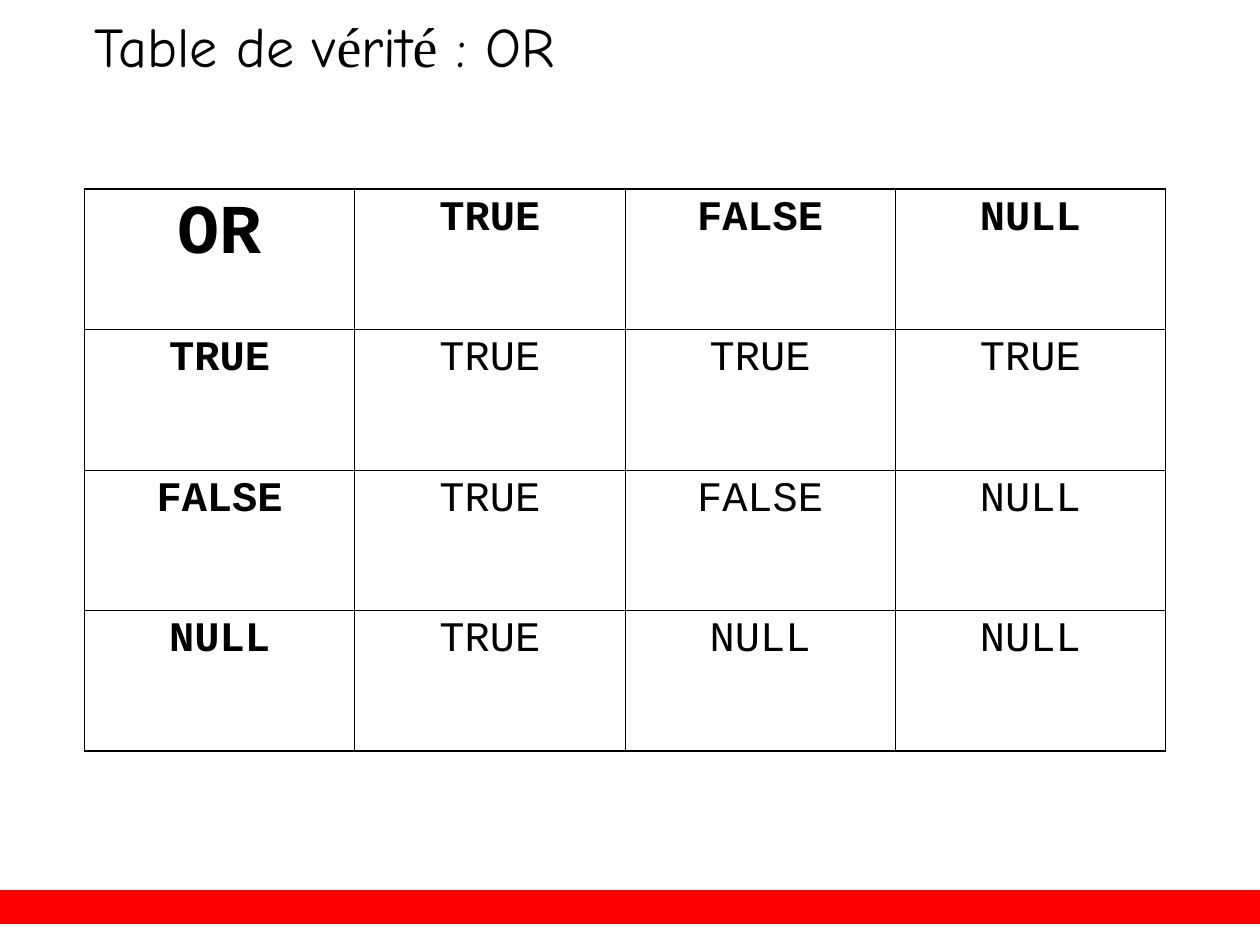
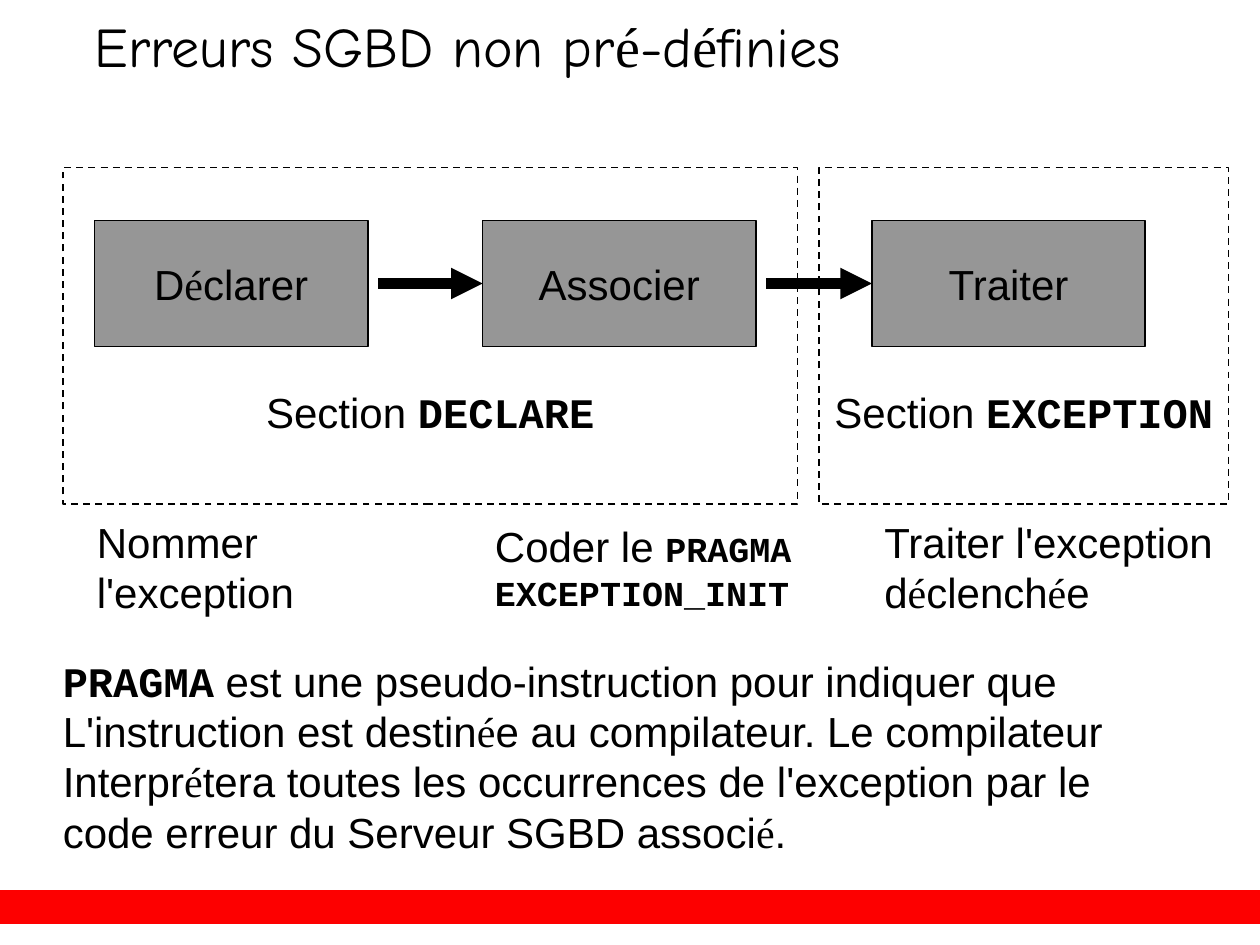
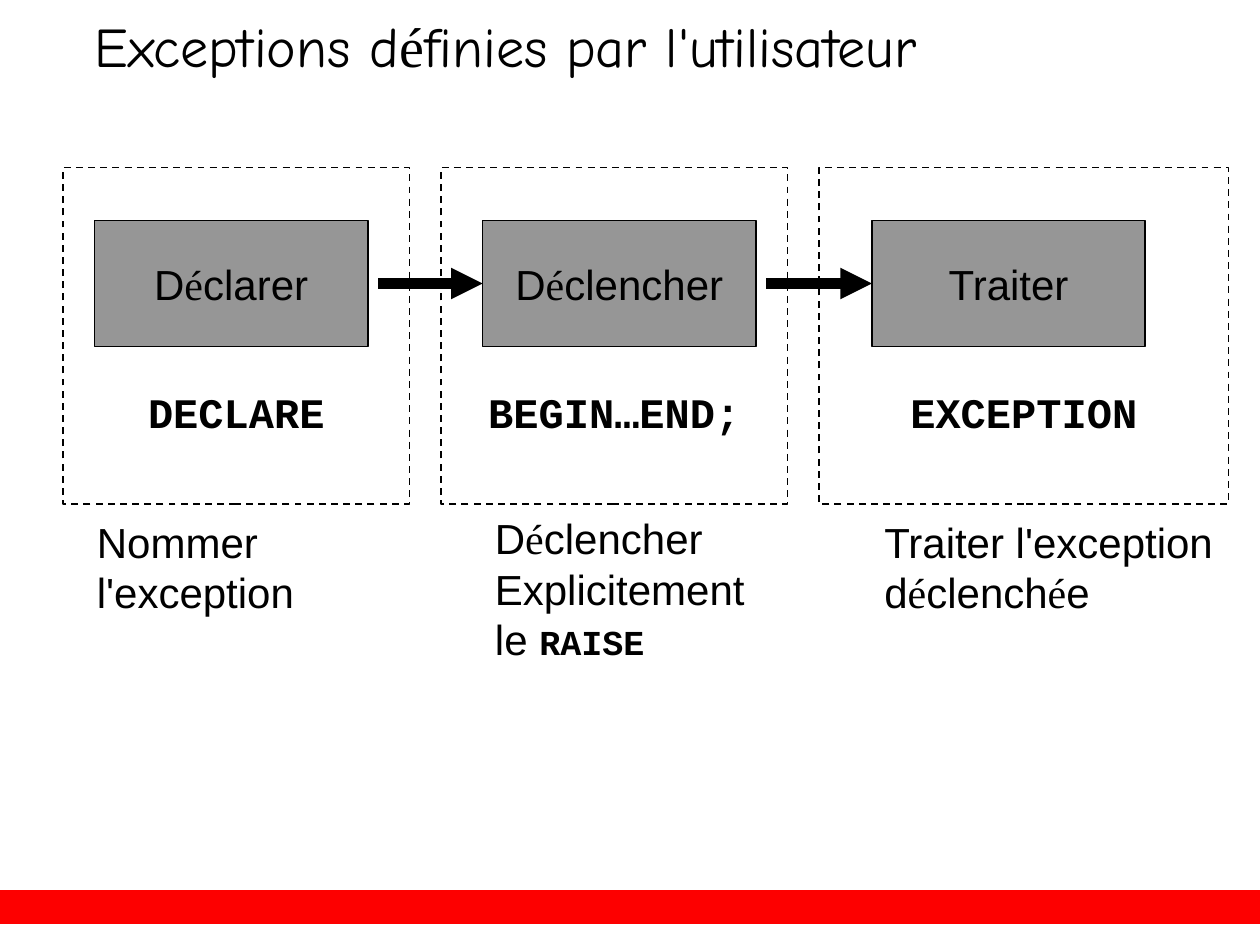
"""Builds three slides on SQL truth tables and exception handling."""
from itertools import groupby

from lxml.etree import SubElement
from pptx import Presentation
from pptx.dml.color import RGBColor
from pptx.enum.dml import MSO_LINE
from pptx.enum.shapes import MSO_CONNECTOR as CONN, MSO_SHAPE as SHAPE
from pptx.enum.text import MSO_ANCHOR as ANCHOR, MSO_AUTO_SIZE as AUTO, PP_ALIGN as ALIGN
from pptx.oxml.ns import qn
from pptx.util import Inches, Pt

COLORS = {"black": "000000", "red": "FD0000", "gray": "969696"}
BODY, CODE, ACCENT, TITLE = "Arial", "Courier New", "Times New Roman", "Comic Neue"
STEP_LEFTS = [0.75, 3.83, 6.92]
STEP_TOP, STEP_W, STEP_H = 1.75, 2.17, 1
FRAME_TOP, FRAME_H = 1.33, 2.67
LABEL_INSET = 1.25
MIDDLE_NOTE_W = 2.7
NAME_NOTE = ["Nommer", "l'exception"]
HANDLE_NOTE = ["Traiter l'exception", "déclenchée"]


def rgb(name):
    return RGBColor.from_string(COLORS[name])


def apply(obj, values):
    for name, value in values.items():
        setattr(obj, name, value)


def add_run(p, text, font, size, bold=False):
    r = p.add_run()
    r.text = text
    apply(r.font, {"name": font, "size": Pt(size), "bold": bold})
    r.font.color.rgb = rgb("black")


def add_words(p, text, font=BODY, size=24, code_size=24):
    """Text between backticks is code; each é is set in the accent font."""
    for i, part in enumerate(text.split("`")):
        if i % 2:
            add_run(p, part, CODE, code_size, True)
            continue
        for accented, chars in groupby(part, lambda c: c == "é"):
            add_run(p, "".join(chars), ACCENT if accented else font, size)


def fill_text(tf, lines, align=ALIGN.LEFT, anchor=ANCHOR.MIDDLE, code_size=24):
    apply(tf, {"word_wrap": False, "vertical_anchor": anchor})
    for i, line in enumerate(lines):
        p = tf.add_paragraph() if i else tf.paragraphs[0]
        p.alignment = align
        add_words(p, line, code_size=code_size)


def add_rect(slide, left, top, width, height, fill=None, line="black"):
    sp = slide.shapes.add_shape(SHAPE.RECTANGLE, *map(Inches, (left, top, width, height)))
    sp.shadow.inherit = False
    if fill:
        sp.fill.solid()
        sp.fill.fore_color.rgb = rgb(fill)
    else:
        sp.fill.background()
    sp.line.color.rgb = rgb(line)
    sp.line.width = Pt(1)
    return sp


def add_band(layout, slide):
    band = add_rect(slide, 0, 7.07, 10, 0.26, "red", "red")
    layout.shapes.element.append(band.element)


def add_slide(prs, title):
    slide = prs.slides.add_slide(prs.slide_layouts[5])
    sp = slide.shapes.title
    apply(sp, {"left": Inches(0.75), "top": Inches(0.17),
               "width": Inches(8.17), "height": Inches(0.58)})
    tf = sp.text_frame
    apply(tf, {"margin_left": 0, "margin_top": 0, "margin_right": 0, "margin_bottom": 0,
               "vertical_anchor": ANCHOR.TOP, "auto_size": AUTO.NONE, "word_wrap": True})
    p = tf.paragraphs[0]
    apply(p, {"alignment": ALIGN.LEFT, "line_spacing": 0.85})
    add_words(p, title, TITLE, 32)
    return slide


def add_section(slide, left, width, label):
    sp = add_rect(slide, left, FRAME_TOP, width, FRAME_H)
    sp.line.dash_style = MSO_LINE.DASH
    fill_text(sp.text_frame, [label], ALIGN.CENTER)
    sp.text_frame.margin_top = Inches(LABEL_INSET)


def add_steps(slide, names):
    for i, (left, name) in enumerate(zip(STEP_LEFTS, names)):
        sp = add_rect(slide, left, STEP_TOP, STEP_W, STEP_H, "gray")
        fill_text(sp.text_frame, [name], ALIGN.CENTER)
        if i:
            add_arrow(slide, STEP_LEFTS[i - 1] + STEP_W + 0.08, sp)


def add_arrow(slide, start, target):
    y = Inches(STEP_TOP + STEP_H / 2)
    cx = slide.shapes.add_connector(CONN.STRAIGHT, Inches(start), y, target.left, y)
    cx.end_connect(target, 1)
    cx.line.color.rgb = rgb("black")
    cx.line.width = Pt(6)
    SubElement(cx.line._get_or_add_ln(), qn("a:tailEnd"), type="triangle")
    SubElement(cx.element.spPr, qn("a:effectLst"))


def add_note(slide, left, top, width, height, lines, **style):
    box = slide.shapes.add_textbox(*map(Inches, (left, top, width, height)))
    fill_text(box.text_frame, lines, **style)


def add_border(cell, side, width):
    ln = SubElement(cell._tc.get_or_add_tcPr(), qn(f"a:ln{side}"), w=str(Pt(width)))
    fill = SubElement(ln, qn("a:solidFill"))
    SubElement(fill, qn("a:srgbClr"), val=COLORS["black"])


def add_truth_table(slide, rows):
    n = len(rows)
    size = Inches(0.67), Inches(1.5), Inches(8.58), Inches(4.46)
    table = slide.shapes.add_table(n, n, *size).table
    apply(table, {"first_row": False, "horz_banding": False})
    for i, row in enumerate(rows):
        for j, value in enumerate(row):
            cell = table.cell(i, j)
            edges = {"L": j == 0, "R": j == n - 1, "T": i == 0, "B": i == n - 1}
            for side, outer in edges.items():
                add_border(cell, side, 1.08 if outer else 0.45)
            cell.fill.background()
            p = cell.text_frame.paragraphs[0]
            p.alignment = ALIGN.CENTER
            add_run(p, value, CODE, 24 if i or j else 40, i == 0 or j == 0)


def add_flow(slide, sections, steps):
    for section in sections:
        add_section(slide, *section)
    add_steps(slide, steps)
    add_note(slide, 0.67, 4, 3.08, 1, NAME_NOTE)
    add_note(slide, STEP_LEFTS[2], 4, 3.08, 1, HANDLE_NOTE)


def main():
    prs = Presentation()
    prs.slide_width, prs.slide_height = Inches(10), Inches(7.5)

    s = add_slide(prs, "Table de vérité : OR")
    add_band(prs.slide_layouts[5], s)
    add_truth_table(s, [
        ["OR", "TRUE", "FALSE", "NULL"],
        ["TRUE", "TRUE", "TRUE", "TRUE"],
        ["FALSE", "TRUE", "FALSE", "NULL"],
        ["NULL", "TRUE", "NULL", "NULL"],
    ])

    s = add_slide(prs, "Erreurs SGBD non pré-définies")
    add_flow(s, [(0.5, 5.83, "Section `DECLARE`"), (6.5, 3.25, "Section `EXCEPTION`")],
             ["Déclarer", "Associer", "Traiter"])
    add_note(s, STEP_LEFTS[1], 4, MIDDLE_NOTE_W, 1,
             ["Coder le `PRAGMA`", "`EXCEPTION_INIT`"], code_size=20)
    add_note(s, 0.4, 5.15, 8.47, 1.7, [
        "`PRAGMA` est une pseudo-instruction pour indiquer que",
        "L'instruction est destinée au compilateur. Le compilateur",
        "Interprétera toutes les occurrences de l'exception par le",
        "code erreur du Serveur SGBD associé.",
    ], anchor=ANCHOR.TOP)

    s = add_slide(prs, "Exceptions définies par l'utilisateur")
    add_flow(s, [(0.5, 2.75, "`DECLARE`"), (3.5, 2.75, "`BEGIN…END;`"),
                 (6.5, 3.25, "`EXCEPTION`")],
             ["Déclarer", "Déclencher", "Traiter"])
    add_note(s, STEP_LEFTS[1], 4.17, MIDDLE_NOTE_W, 1,
             ["Déclencher", "Explicitement", "le `RAISE`"], code_size=20)

    prs.save("out.pptx")


if __name__ == "__main__":
    main()
